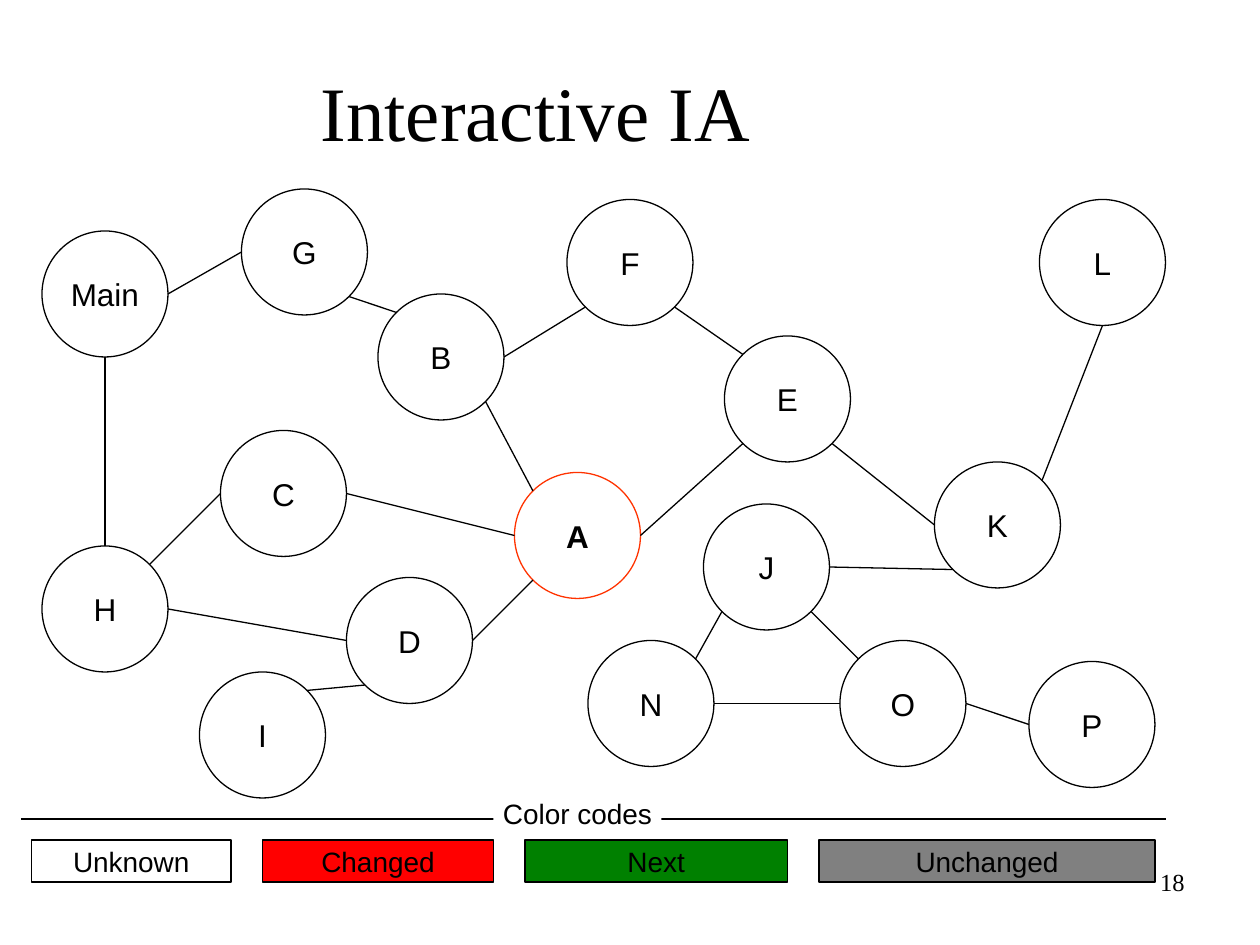
import math

import pptx
import pptx.dml.color
import pptx.enum.shapes
import pptx.enum.text
import pptx.oxml.ns
import pptx.util
from lxml import etree

Pt = pptx.util.Pt
SHAPES = pptx.enum.shapes.MSO_SHAPE
ALIGN = pptx.enum.text.PP_ALIGN
ANCHOR = pptx.enum.text.MSO_ANCHOR

BLACK = "000000"
DIAMETER = 72
LINE_WIDTH = 0.75

# Left and top of each circle
NODES = {
    "Main": (24, 132), "G": (138, 108), "B": (216, 168), "F": (324, 114),
    "E": (414, 192), "L": (594, 114), "C": (126, 246), "A": (294, 270),
    "K": (534, 264), "H": (24, 312), "D": (198, 330), "I": (114, 384),
    "J": (402, 288), "N": (336, 366), "O": (480, 366), "P": (588, 378),
}
CHANGED_NODE = "A"

# Node and compass side at each end of a link
LINKS = [
    ("A", "NW", "B", "SE"), ("A", "W", "C", "E"), ("E", "NW", "F", "SE"),
    ("A", "SW", "D", "E"), ("B", "NW", "G", "SE"), ("G", "W", "Main", "E"),
    ("D", "W", "H", "E"), ("D", "SW", "I", "NE"), ("E", "SW", "A", "E"),
    ("K", "W", "E", "SE"), ("L", "S", "K", "NE"), ("K", "SW", "J", "E"),
    ("B", "E", "F", "SW"), ("H", "N", "Main", "S"), ("C", "W", "H", "NE"),
    ("J", "SW", "N", "NE"), ("O", "NW", "J", "SE"), ("O", "W", "N", "E"),
    ("P", "W", "O", "E"),
]
SIDES = ["E", "SE", "S", "SW", "W", "NW", "N", "NE"]

# Label, width, fill
LEGEND = [
    ("Unknown", 114, None), ("Changed", 132, "FF0000"),
    ("Next", 150, "008000"), ("Unchanged", 192, "808080"),
]
LEGEND_LEFT, LEGEND_TOP, LEGEND_HEIGHT, LEGEND_GAP = 18, 480, 24, 18


def color(value):
    return pptx.dml.color.RGBColor.from_string(value)


def write(shape, text, size=18, font="Arial", bold=False, align=ALIGN.CENTER,
          anchor=ANCHOR.MIDDLE, wrap=False):
    frame = shape.text_frame
    frame.word_wrap = wrap
    frame.vertical_anchor = anchor
    paragraph = frame.paragraphs[0]
    paragraph.alignment = align
    run = paragraph.add_run()
    run.text = text
    run.font.size = Pt(size)
    run.font.name = font
    run.font.bold = bold
    run.font.color.rgb = color(BLACK)


def add_box(slide, kind, left, top, width, height, fill=None, outline=BLACK):
    shape = slide.shapes.add_shape(kind, Pt(left), Pt(top), Pt(width), Pt(height))
    shape.shadow.inherit = False
    if fill:
        shape.fill.solid()
        shape.fill.fore_color.rgb = color(fill)
    else:
        shape.fill.background()
    if outline:
        shape.line.color.rgb = color(outline)
        shape.line.width = Pt(LINE_WIDTH)
    else:
        shape.line.fill.background()
    return shape


def add_line(slide, start, end):
    connector = slide.shapes.add_connector(
        pptx.enum.shapes.MSO_CONNECTOR.STRAIGHT, *(Pt(value) for value in (*start, *end)))
    connector.line.color.rgb = color(BLACK)
    connector.line.width = Pt(LINE_WIDTH)
    etree.SubElement(connector._element.spPr, pptx.oxml.ns.qn("a:effectLst"))


def add_text(slide, text, left, top, width, height, **text_format):
    box = slide.shapes.add_textbox(Pt(left), Pt(top), Pt(width), Pt(height))
    write(box, text, font="Times New Roman", wrap=True, **text_format)


def rim_point(name, side):
    """Return the point on a node's circle that faces the compass side."""
    left, top = NODES[name]
    radius = DIAMETER / 2
    angle = SIDES.index(side) * math.pi / 4
    return (left + radius + radius * math.cos(angle),
            top + radius + radius * math.sin(angle))


def main():
    presentation = pptx.Presentation()
    presentation.slide_width, presentation.slide_height = Pt(720), Pt(540)
    slide = presentation.slides.add_slide(presentation.slide_layouts[6])

    add_text(slide, "Interactive IA", 0, 18, 612, 90, size=44)

    for name, (left, top) in NODES.items():
        changed = name == CHANGED_NODE
        circle = add_box(slide, SHAPES.OVAL, left, top, DIAMETER, DIAMETER,
                         outline="FF3300" if changed else BLACK)
        write(circle, name, bold=changed)

    for first, first_side, second, second_side in LINKS:
        add_line(slide, rim_point(first, first_side), rim_point(second, second_side))

    left = LEGEND_LEFT
    for label, width, fill in LEGEND:
        key = add_box(slide, SHAPES.RECTANGLE, left, LEGEND_TOP, width, LEGEND_HEIGHT, fill)
        write(key, label, size=16)
        left += width + LEGEND_GAP

    add_line(slide, (12, 468), (666, 468))
    heading = add_box(slide, SHAPES.RECTANGLE, 282, 456, 96, 18, "FFFFFF", outline=None)
    write(heading, "Color codes", size=16)

    add_text(slide, "18", 516, 492, 168, 37.5, size=14,
             align=ALIGN.RIGHT, anchor=ANCHOR.TOP)

    presentation.save("out.pptx")


if __name__ == "__main__":
    main()
